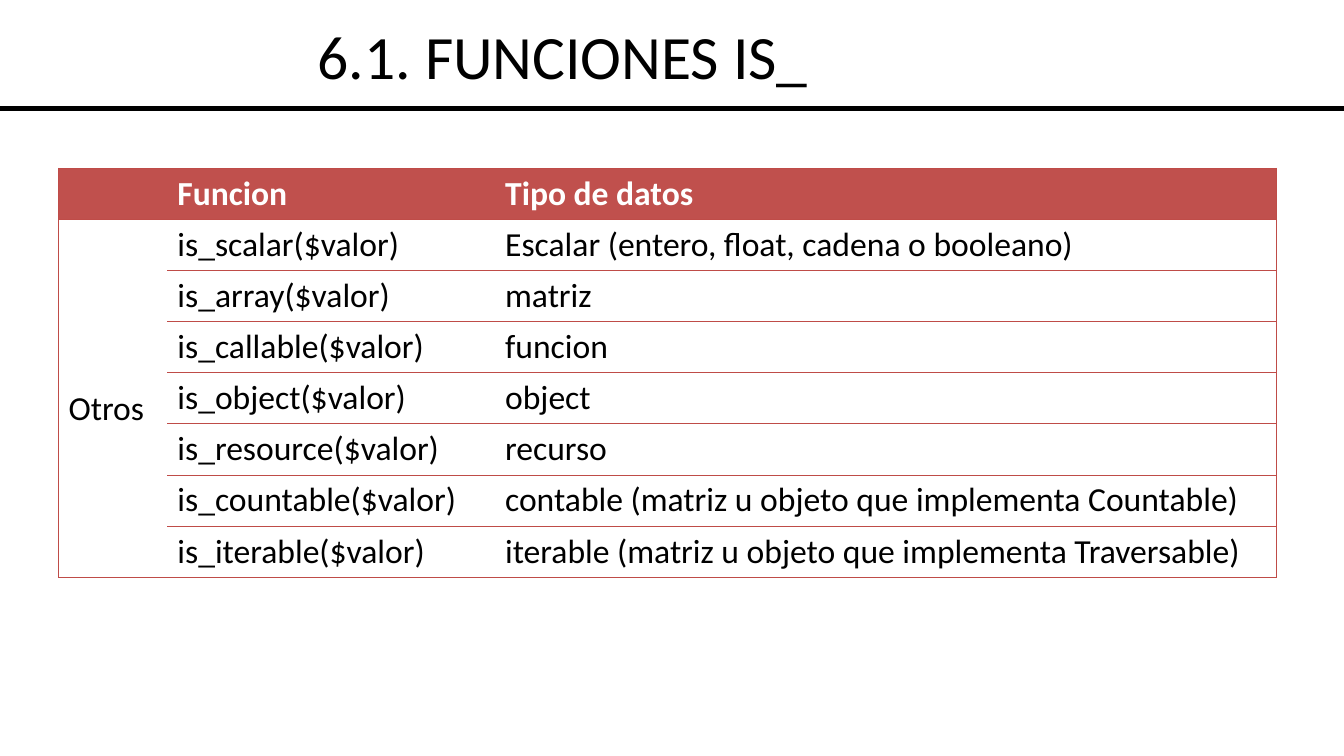
from lxml.etree import SubElement
from pptx import Presentation
from pptx.dml.color import RGBColor
from pptx.enum.shapes import MSO_CONNECTOR as Connector
from pptx.enum.text import MSO_ANCHOR as Anchor, MSO_AUTO_SIZE as AutoSize, PP_ALIGN as Align
from pptx.oxml.ns import qn
from pptx.util import Inches, Pt


def color(code):
    return RGBColor.from_string(code)


def set_border(cell, side, code):
    line = SubElement(cell._tc.get_or_add_tcPr(), qn(f"a:ln{side}"), w=str(Pt(0.75)))
    if code:
        fill = SubElement(line, qn("a:solidFill"))
        SubElement(fill, qn("a:srgbClr"), val=code)
    else:
        SubElement(line, qn("a:noFill"))


BLACK, WHITE, RED, BORDER = "000000", "FFFFFF", "C0504D", "BF4C48"
ROW_HEIGHT = 0.506
COLUMN_WIDTHS = [1.08, 3.25, 7.75]
ROWS = [
    ["", "Funcion", "Tipo de datos"],
    ["Otros", "is_scalar($valor)", "Escalar (entero, float, cadena o booleano)"],
    ["", "is_array($valor)", "matriz"],
    ["", "is_callable($valor)", "funcion"],
    ["", "is_object($valor)", "object"],
    ["", "is_resource($valor)", "recurso"],
    ["", "is_countable($valor)", "contable (matriz u objeto que implementa Countable)"],
    ["", "is_iterable($valor)", "iterable (matriz u objeto que implementa Traversable)"],
]

presentation = Presentation()
presentation.slide_width = Inches(13.33)
presentation.slide_height = Inches(7.5)
slide = presentation.slides.add_slide(presentation.slide_layouts[5])

title = slide.shapes.title
title_box = {"left": 0, "top": 0, "width": Inches(11.17), "height": Inches(0.97)}
for name, value in title_box.items():
    setattr(title, name, value)
title.text_frame.text = "6.1. FUNCIONES IS_"
title.text_frame.auto_size = AutoSize.NONE
title.text_frame.vertical_anchor = Anchor.BOTTOM
paragraph = title.text_frame.paragraphs[0]
paragraph.alignment = Align.CENTER
paragraph.line_spacing = 0.9
for name, value in {"name": "Calibri", "size": Pt(44)}.items():
    setattr(paragraph.font, name, value)
paragraph.font.color.rgb = color(BLACK)

rule = slide.shapes.add_connector(
    Connector.STRAIGHT, 0, Inches(1.08), presentation.slide_width, Inches(1.08))
rule.line.width = Pt(3.5)
rule.line.color.rgb = color(BLACK)
SubElement(rule._element.spPr, qn("a:effectLst"))

table = slide.shapes.add_table(
    len(ROWS), len(COLUMN_WIDTHS), Inches(0.58), Inches(1.67),
    Inches(sum(COLUMN_WIDTHS)), Inches(ROW_HEIGHT * len(ROWS))).table
table.horz_banding = False
for column, width in zip(table.columns, COLUMN_WIDTHS):
    column.width = Inches(width)

last_row, last_column = len(ROWS) - 1, len(COLUMN_WIDTHS) - 1
table.cell(1, 0).merge(table.cell(last_row, 0))
for row_index, row in enumerate(ROWS):
    is_header = row_index == 0
    for column_index, text in enumerate(row):
        cell = table.cell(row_index, column_index)
        cell.text = text
        paragraph = cell.text_frame.paragraphs[0]
        font_format = {"name": "Calibri", "size": Pt(24), "bold": is_header}
        for name, value in font_format.items():
            setattr(paragraph.font, name, value)
        paragraph.font.color.rgb = color(WHITE if is_header else BLACK)

        in_group = column_index == 0 and not is_header
        sides = {
            "L": column_index == 0,
            "R": column_index == last_column,
            "T": not in_group or row_index == 1,
            "B": not in_group or row_index in (1, last_row),
        }
        for side, visible in sides.items():
            set_border(cell, side, BORDER if visible else None)
        if is_header:
            cell.fill.solid()
            cell.fill.fore_color.rgb = color(RED)
        else:
            cell.fill.background()

group_cell = table.cell(1, 0)
group_cell.vertical_anchor = Anchor.MIDDLE
group_cell.margin_top = Inches(0.22)
group_cell.margin_bottom = 0

presentation.save("out.pptx")
